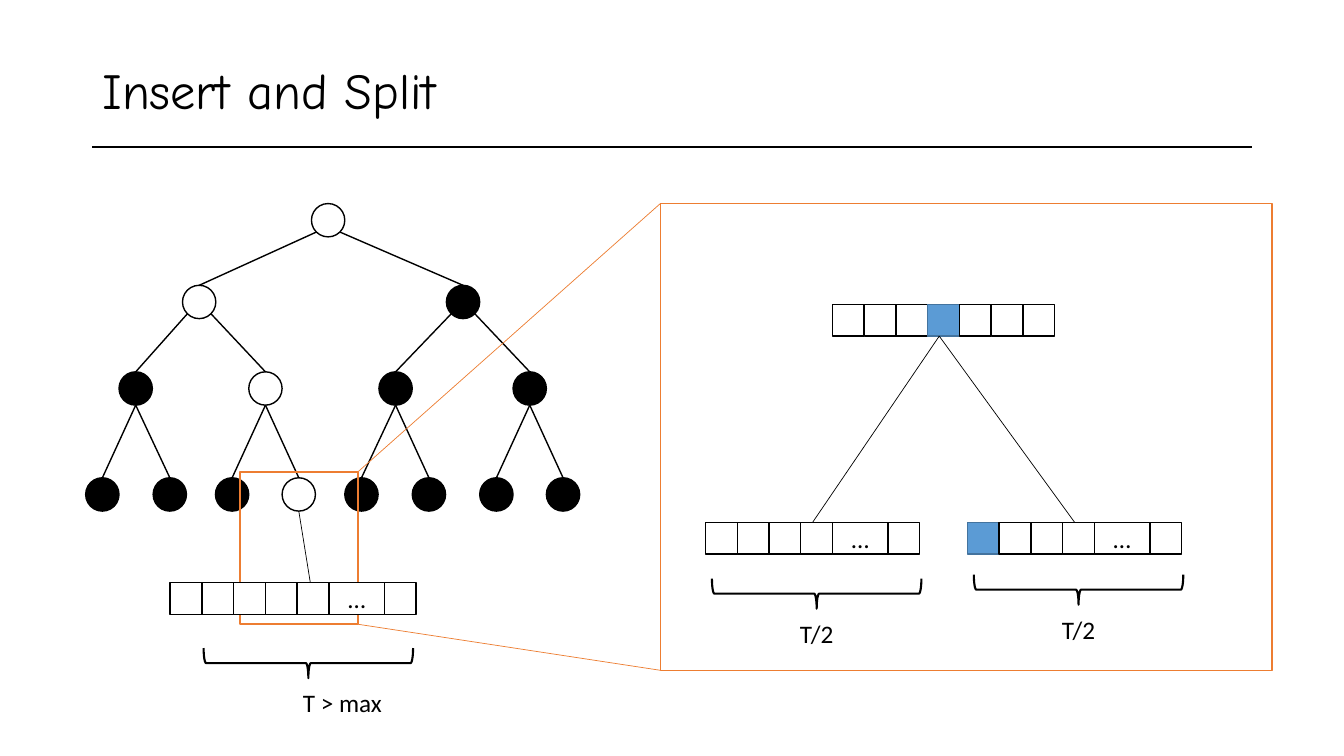
import pptx
import pptx.util
import pptx.dml.color
import pptx.enum.shapes
import pptx.enum.text
import pptx.oxml

Cm, Pt = pptx.util.Cm, pptx.util.Pt
RGB = pptx.dml.color.RGBColor
KIND = pptx.enum.shapes.MSO_SHAPE
ALIGN = pptx.enum.text.PP_ALIGN
MID = pptx.enum.text.MSO_ANCHOR.MIDDLE

BLACK = RGB(0, 0, 0)
WHITE = RGB(255, 255, 255)
ORANGE = RGB(0xED, 0x7D, 0x31)
BLUE = RGB(0x5B, 0x9B, 0xD5)
NAVY = RGB(0x43, 0x73, 0x9E)

NODE = 0.84
CELL = 0.8
GAP = 1.4
# Node centres per level, measured from the left of the tree
LEVELS = [
    (0, [6.11]),
    (2.06, [2.86, 9.51]),
    (4.24, [1.26, 4.53, 7.81, 11.19]),
    (6.91, [0.42, 2.12, 3.69, 5.37, 6.95, 8.65, 10.35, 12.03]),
]
ROUTE = [0, 0, 1, 3]


def shape(slide, kind, x, y, w, h, fill=None, edge=BLACK, width=1):
    item = slide.shapes.add_shape(kind, Cm(x), Cm(y), Cm(w), Cm(h))
    item.shadow.inherit = False
    if fill is None:
        item.fill.background()
    else:
        item.fill.solid()
        item.fill.fore_color.rgb = fill
    item.line.color.rgb = edge
    item.line.width = Pt(width)
    return item


def line(slide, x1, y1, x2, y2, color=BLACK, width=0.5):
    item = slide.shapes.add_connector(
        pptx.enum.shapes.MSO_CONNECTOR.STRAIGHT, Cm(x1), Cm(y1), Cm(x2), Cm(y2))
    item.line.color.rgb = color
    item.line.width = Pt(width)
    item._element.spPr.append(pptx.oxml.parse_xml(
        '<a:effectLst xmlns:a="http://schemas.openxmlformats.org/drawingml/2006/main"/>'))


def write(item, text, size=18, font="Calibri", align=ALIGN.CENTER):
    frame = item.text_frame
    frame.text = text
    frame.vertical_anchor = MID
    par = frame.paragraphs[0]
    par.alignment = align
    for run in par.runs:
        run.font.size = Pt(size)
        run.font.name = font
        run.font.color.rgb = BLACK


def label(slide, text, x, y):
    """Write a short text centred on a point."""
    w, h = 2.54, 1.02
    box = slide.shapes.add_textbox(Cm(x - w / 2), Cm(y - h / 2), Cm(w), Cm(h))
    write(box, text)
    box.text_frame.word_wrap = False


def title(slide, x, y, w, h):
    box = slide.shapes.add_textbox(Cm(x), Cm(y), Cm(w), Cm(h))
    write(box, "Insert and Split", 36, "Comic Neue", ALIGN.LEFT)
    box.text_frame.word_wrap = True
    box.text_frame.paragraphs[0].line_spacing = 0.9
    line(slide, x, y + h, x + w, y + h, width=1.5)


def tree(slide, x, y):
    """Draw the binary tree; the nodes on the route stay white."""
    half = NODE / 2
    slant = half * 0.71
    for depth, (top, mids) in enumerate(LEVELS):
        for i, mid in enumerate(mids):
            fill = WHITE if i == ROUTE[depth] else BLACK
            shape(slide, KIND.OVAL, x + mid - half, y + top, NODE, NODE, fill)
            if depth == 0:
                continue
            above, heads = LEVELS[depth - 1]
            # Wide upper edges leave from the side, leaf edges from the bottom
            if depth < 3:
                dx, dy = (slant if i % 2 else -slant), half + slant
            else:
                dx, dy = 0, NODE
            line(slide, x + heads[i // 2] + dx, y + above + dy,
                 x + mid, y + top, width=1)


def row(slide, x, y, count, mark=None, dots=True):
    """Draw a row of cells, with a dotted gap and a last cell if dots is set."""
    for i in range(count):
        hit = i == mark
        shape(slide, KIND.RECTANGLE, x + i * CELL, y, CELL, CELL,
              BLUE if hit else WHITE, NAVY if hit else BLACK)
    if dots:
        end = x + count * CELL
        gap = shape(slide, KIND.RECTANGLE, end, y, GAP, CELL, WHITE)
        write(gap, "…")
        shape(slide, KIND.RECTANGLE, end + GAP, y, CELL, CELL, WHITE)


def brace(slide, x, y, text, shift=0):
    """Draw a brace opening upwards, centred on a point, and its label."""
    w, h = 0.76, 5.28
    item = shape(slide, KIND.RIGHT_BRACE, x - w / 2, y - h / 2, w, h, width=1.5)
    item.rotation = 90
    label(slide, text, x + shift, y + 1)


def zoom(slide, small, large):
    """Frame two boxes and join their facing corners."""
    for box in (large, small):
        shape(slide, KIND.RECTANGLE, *box, edge=ORANGE)
    x, y, w, h = small
    left, top, _, tall = large
    line(slide, x + w, y, left, top, ORANGE)
    line(slide, x + w, y + h, left, top + tall, ORANGE)


def leaf(slide, x, y):
    """Draw the overfull row below the last node on the route."""
    row(slide, x, y, 5)
    line(slide, x + 3.24, y - 1.8, x + 3.53, y)
    brace(slide, x + 3.48, y + 2.03, "T > max", 0.86)


def split(slide, x, y):
    """Draw the parent row and the two halves inside the large frame."""
    row(slide, x + 4.34, y + 2.54, 7, mark=3, dots=False)
    low = y + 8.03
    for left, mark, drop in ((1.14, None, 1.8), (7.74, 0, 1.7)):
        row(slide, x + left, low, 4, mark)
        line(slide, x + 7.03, y + 2.54 + CELL, x + left + 2.7, low)
        brace(slide, x + left + 2.8, low + drop, "T/2")


def main():
    deck = pptx.Presentation()
    deck.slide_width, deck.slide_height = Cm(33.87), Cm(19.05)
    slide = deck.slides.add_slide(deck.slide_layouts[6])
    panel = (16.64, 5.13, 15.42, 11.76)
    title(slide, 2.33, 1.01, 29.21, 2.7)
    tree(slide, 2.16, 5.13)
    zoom(slide, (6.05, 11.89, 2.97, 3.84), panel)
    leaf(slide, 4.29, 14.68)
    split(slide, *panel[:2])
    deck.save("out.pptx")


if __name__ == "__main__":
    main()
